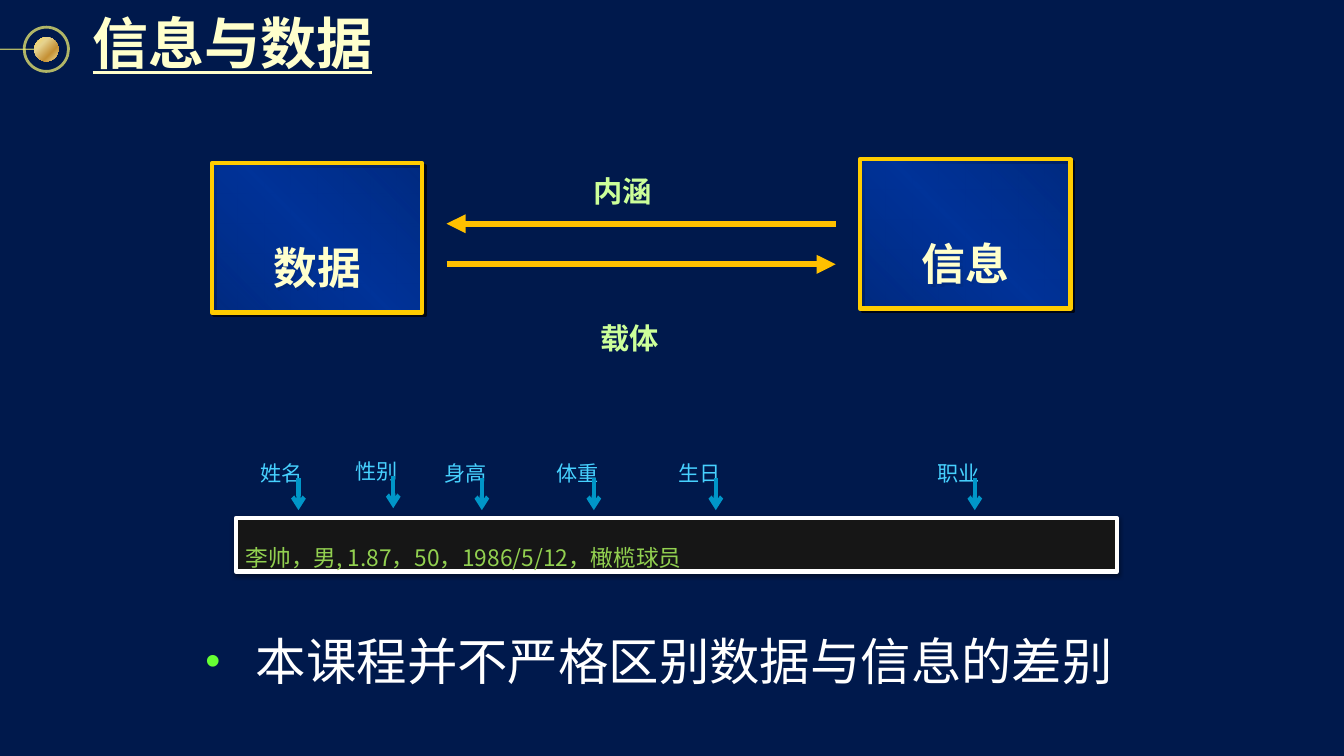
from lxml import etree
from pptx import Presentation
from pptx.dml.color import RGBColor
from pptx.enum.shapes import MSO_CONNECTOR as Connector, MSO_SHAPE as Shape
from pptx.enum.text import MSO_ANCHOR as Anchor, MSO_AUTO_SIZE as AutoSize, PP_ALIGN as Align
from pptx.oxml import parse_xml
from pptx.oxml.ns import nsdecls, qn
from pptx.util import Pt

FONT = "Noto Sans CJK SC"
COLORS = {
    "night": "00194C", "cream": "FFFFCC", "ring": "FCF873", "blue": "003399",
    "deep": "002C85", "gold": "FFCC00", "amber": "FFC000", "mint": "CCFF99",
    "white": "FFFFFF", "bullet": "66FF33", "coal": "161616", "lime": "92D050",
    "sky": "47D1FF", "arrow": "0096C8", "shade": "000514", "black": "000000",
}
GOLD_STOPS = [(0, "FCD860", 100), (31, "E6D38F", 100), (68, "C69135", 100), (100, "F1DF97", 100)]
BLUE_STOPS = [(0, COLORS["deep"], 68), (50, COLORS["blue"], 100), (100, COLORS["deep"], 68)]
SUBSCRIPT = "-25000"


def color(name):
    return RGBColor.from_string(COLORS[name])


def add_sub(parent, tag, **attributes):
    return etree.SubElement(parent, qn(tag), attributes)


def gradient(shape, stops, angle):
    stop_xml = "".join(
        f'<a:gs pos="{pos * 1000}"><a:srgbClr val="{hex_color}">'
        f'<a:alpha val="{alpha * 1000}"/></a:srgbClr></a:gs>'
        for pos, hex_color, alpha in stops)
    fill = parse_xml(f'<a:gradFill {nsdecls("a")} rotWithShape="1"><a:gsLst>{stop_xml}</a:gsLst>'
                     f'<a:lin ang="{angle * 60000}" scaled="0"/></a:gradFill>')
    shape._element.spPr.find(qn("a:prstGeom")).addnext(fill)


def fill_shadow(effects, name, alpha, blur, distance, angle):
    shadow = add_sub(effects, "a:outerShdw", blurRad=str(Pt(blur)), dist=str(Pt(distance)),
                     dir=str(angle * 60000), algn="ctr", rotWithShape="0")
    tint = add_sub(shadow, "a:srgbClr", val=COLORS[name])
    add_sub(tint, "a:alpha", val=str(alpha * 1000))


def shape_shadow(shape, *settings):
    fill_shadow(shape._element.spPr.find(qn("a:effectLst")), *settings)


def set_line(item, name, width, alpha=100):
    item.line.color.rgb = color(name)
    item.line.width = Pt(width)
    if alpha < 100:
        tint = item.line._ln.find(f"{qn('a:solidFill')}/{qn('a:srgbClr')}")
        add_sub(tint, "a:alpha", val=str(alpha * 1000))


def add_shape(slide, kind, left, top, width, height):
    shape = slide.shapes.add_shape(kind, Pt(left), Pt(top), Pt(width), Pt(height))
    shape.shadow.inherit = False
    return shape


def add_line(slide, start, end, name, width, alpha=100, head=None, tail=None):
    line = slide.shapes.add_connector(Connector.STRAIGHT, *map(Pt, (*start, *end)))
    set_line(line, name, width, alpha)
    for tag, style in (("a:headEnd", head), ("a:tailEnd", tail)):
        if style:
            add_sub(line.line._ln, tag, type=style)
    add_sub(line._element.spPr, "a:effectLst")


def add_run(paragraph, text, size, name, bold=False, baseline=None):
    run = paragraph.add_run()
    run.text = text
    run.font.size, run.font.bold, run.font.name = Pt(size), bold, FONT
    run.font.color.rgb = color(name)
    properties = run._r.get_or_add_rPr()
    properties.find(qn("a:latin")).addnext(parse_xml(f'<a:ea {nsdecls("a")} typeface="{FONT}"/>'))
    if baseline:
        properties.set("baseline", baseline)
    return run


def add_label(slide, left, top, width, height, text, size, name, bold=False):
    label = slide.shapes.add_textbox(Pt(left), Pt(top), Pt(width), Pt(height))
    frame = label.text_frame
    frame.word_wrap = False
    frame.auto_size = AutoSize.SHAPE_TO_FIT_TEXT
    paragraph = frame.paragraphs[0]
    paragraph.line_spacing = 0.9
    add_run(paragraph, text, size, name, bold, SUBSCRIPT)


def draw_title(slide, left, top, width, height):
    # Ring, stem and golden ball
    middle = 35.2
    ring = add_shape(slide, Shape.OVAL, 17.3, middle - 15.8, 31.6, 31.6)
    ring.rotation = 270
    ring.fill.background()
    set_line(ring, "ring", 2, 70)
    add_line(slide, (0, middle), (24.5, middle), "ring", 0.75, 70)
    ball = add_shape(slide, Shape.OVAL, 24.5, middle - 8.6, 17.2, 17.2)
    ball.rotation = 270
    ball.line.fill.background()
    gradient(ball, GOLD_STOPS, 135)

    # Heading
    heading = slide.shapes.add_textbox(Pt(left), Pt(top), Pt(width), Pt(height))
    frame = heading.text_frame
    frame.word_wrap = False
    frame.auto_size = AutoSize.SHAPE_TO_FIT_TEXT
    frame.vertical_anchor = Anchor.MIDDLE
    frame.margin_left = frame.margin_right = frame.margin_top = frame.margin_bottom = Pt(5.76)
    run = add_run(frame.paragraphs[0], "信息与数据", 40, "cream", True)
    run.font.underline = True
    effects = parse_xml(f'<a:effectLst {nsdecls("a")}/>')
    fill_shadow(effects, "black", 100, 0, 2.8, 45)
    run._r.rPr.find(qn("a:solidFill")).addnext(effects)


def draw_concept(slide, left, top, text):
    concept = add_shape(slide, Shape.RECTANGLE, left, top, 150.5, 106.6)
    gradient(concept, BLUE_STOPS, 315)
    set_line(concept, "gold", 3)
    shape_shadow(concept, "shade", 100, 0, 2.8, 45)
    frame = concept.text_frame
    frame.vertical_anchor = Anchor.MIDDLE
    paragraph = frame.paragraphs[0]
    paragraph.alignment = Align.CENTER
    paragraph.line_spacing = 0.9
    add_run(paragraph, text, 54, "cream", True, SUBSCRIPT)


def draw_relation(slide, left, top):
    draw_concept(slide, left, top + 2.9, "数据")
    draw_concept(slide, left + 463, top, "信息")
    # Arrows both ways
    start, end = left + 167.8, left + 445.7
    add_line(slide, (start, top + 75), (end, top + 75), "amber", 4.5, tail="triangle")
    add_line(slide, (start, top + 46), (end, top + 46), "amber", 4.5, head="triangle")
    add_label(slide, left + 265.7, top - 17.3, 87, 51, "内涵", 36, "mint", True)
    add_label(slide, left + 270.7, top + 87.8, 87, 51, "载体", 36, "mint", True)


def draw_conclusion(slide, left, top, width, height):
    conclusion = slide.shapes.add_textbox(Pt(left), Pt(top), Pt(width), Pt(height))
    conclusion.text_frame.word_wrap = True
    paragraph = conclusion.text_frame.paragraphs[0]
    paragraph.line_spacing = 0.9
    properties = paragraph._p.get_or_add_pPr()
    properties.set("marL", str(Pt(36)))
    properties.set("indent", str(-Pt(36)))
    add_sub(add_sub(properties, "a:buClr"), "a:srgbClr", val=COLORS["bullet"])
    add_sub(properties, "a:buSzPct", val="85000")
    add_sub(properties, "a:buFont", typeface="Arial")
    add_sub(properties, "a:buChar", char="•")
    add_run(paragraph, "本课程并不严格区别数据与信息的差别", 36, "white")


def draw_record(slide, left, top, width, height):
    # Record bar
    record = add_shape(slide, Shape.RECTANGLE, left, top, width, height)
    record.fill.solid()
    record.fill.fore_color.rgb = color("coal")
    set_line(record, "white", 3)
    shape_shadow(record, "black", 38, 3.1, 1.6, 90)
    frame = record.text_frame
    frame.word_wrap = True
    frame.vertical_anchor = Anchor.TOP
    frame.margin_left = Pt(7)
    frame.margin_right = frame.margin_top = frame.margin_bottom = 0
    paragraph = frame.paragraphs[0]
    paragraph.alignment = Align.LEFT
    paragraph.line_spacing = 0.9
    add_run(paragraph, "李帅，男, 1.87，50，1986/5/12，橄榄球员", 28, "lime", baseline=SUBSCRIPT)

    # Field names, each with an arrow down to the bar
    fields = [("姓名", 10.8, 0), ("性别", 78.5, -1.4), ("身高", 141.8, 0),
              ("体重", 221.8, 0), ("生日", 308.9, 0), ("职业", 493.9, 0)]
    for field, offset, lift in fields:
        x, y = left + offset, top - 61.9 + lift
        add_label(slide, x, y, 67, 38.9, field, 26, "sky")
        add_line(slide, (x + 33.9, y + 33.1), (x + 33.9, y + 56.2), "arrow", 3, tail="arrow")


def main():
    deck = Presentation()
    deck.slide_width, deck.slide_height = Pt(960), Pt(540)
    slide = deck.slides.add_slide(deck.slide_layouts[6])
    slide.background.fill.solid()
    slide.background.fill.fore_color.rgb = color("night")
    draw_title(slide, 60.5, 0, 213, 59.8)
    draw_relation(slide, 151.2, 113.8)
    draw_conclusion(slide, 139.7, 451.4, 669, 56.9)
    draw_record(slide, 168.5, 370.1, 629.3, 38.2)
    deck.save("out.pptx")


if __name__ == "__main__":
    main()
